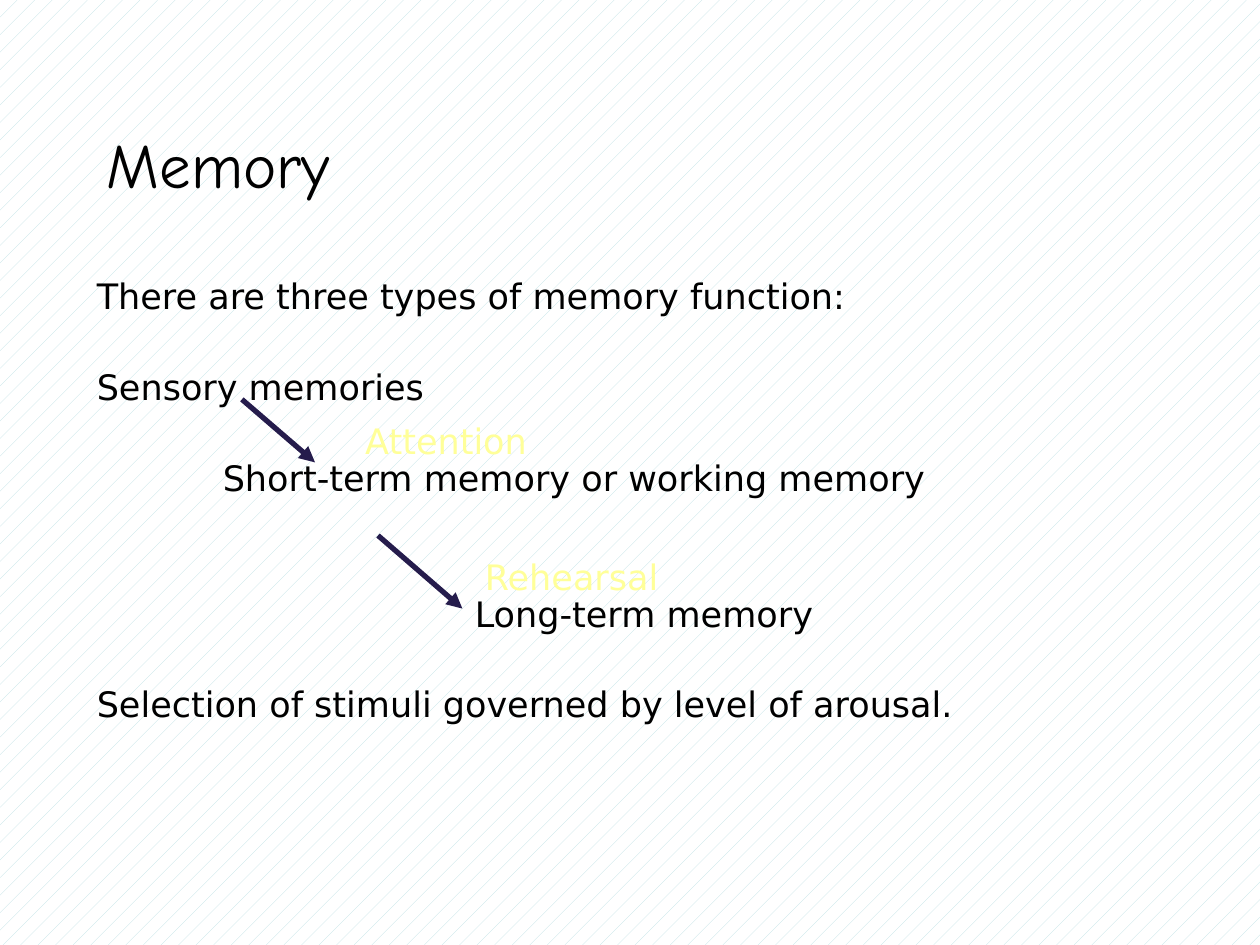
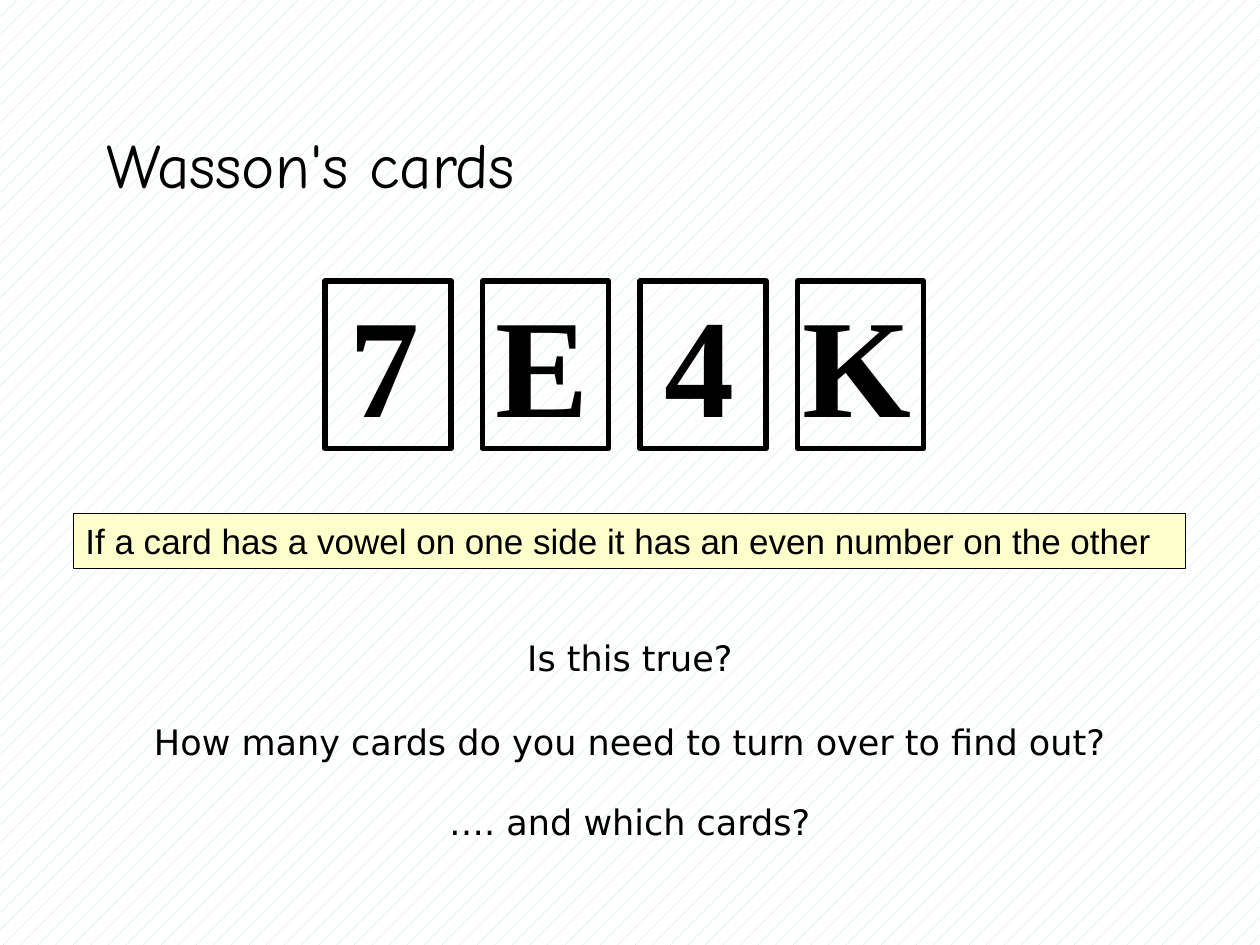
import pptx
import pptx.util
import pptx.dml.color
import pptx.enum.dml
import pptx.enum.shapes
import pptx.enum.text
import pptx.oxml.ns
from lxml import etree

Inches, Pt = pptx.util.Inches, pptx.util.Pt
RGBColor = pptx.dml.color.RGBColor
PP_ALIGN = pptx.enum.text.PP_ALIGN
ANCHOR = pptx.enum.text.MSO_ANCHOR

BLACK = RGBColor(0x00, 0x00, 0x00)
WHITE = RGBColor(0xFF, 0xFF, 0xFF)
PALE_TEAL = RGBColor(0xBB, 0xE0, 0xE3)
NAVY = RGBColor(0x25, 0x1C, 0x4C)
CREAM = RGBColor(0xFF, 0xFF, 0xCC)
YELLOW = RGBColor(0xFF, 0xFF, 0x99)

TITLE_FONT, BODY_FONT = "Comic Neue", "DejaVu Sans"
BANNER_FONT, CARD_FONT = "Arial", "Times New Roman"
TITLE_BOX = (0.75, 0.67, 7.5, 1.25)

# text, indent in inches, space before in points
MEMORY_TITLE = "Memory"
MEMORY_BOX = (0.67, 2.17, 8.5, 4.5)
MEMORY_LINES = [
    ("There are three types of memory function:", 0, 0),
    ("Sensory memories", 0, 30.3),
    ("Short-term memory or working memory", 1, 30.3),
    ("Long-term memory", 3, 55.9),
    ("Selection of stimuli governed by level of arousal.", 0, 30.3),
]
# process, label corner, arrow start, arrow end
MEMORY_STEPS = [
    ("Attention", (2.8, 3.28), (1.92, 3.17), (2.5, 3.67)),
    ("Rehearsal", (3.75, 4.36), (3, 4.25), (3.67, 4.83)),
]
LABEL_SIZE = (2, 0.44)

CARDS_TITLE = "Wasson's cards"
CARDS = ["7", "E", "4", "K"]
CARD_LEFT, CARD_TOP, CARD_WIDTH, CARD_HEIGHT, CARD_GAP = 2.58, 2.23, 1, 1.33, 0.25
RULE = "If a card has a vowel on one side it has an even number on the other"
RULE_BOX = (0.58, 4.07, 8.83, 0.44)
QUESTION_BOX = (0.75, 5, 8.5, 1.92)
QUESTIONS = [
    ("Is this true?", 0, 0),
    ("How many cards do you need to turn over to find out?", 0, 24.2),
    ("…. and which cards?", 0, 21.9),
]


def write(shape, lines, size=20, font=BODY_FONT, color=BLACK, bold=False,
          align=PP_ALIGN.LEFT, anchor=ANCHOR.TOP, spacing=1.0):
    """Fill a shape with a string, or with (text, indent, space before) lines."""
    frame = shape.text_frame
    frame.word_wrap = True
    frame.vertical_anchor = anchor
    if isinstance(lines, str):
        lines = [(lines, 0, 0)]
    for number, (text, indent, before) in enumerate(lines):
        paragraph = frame.add_paragraph() if number else frame.paragraphs[0]
        paragraph.alignment = align
        paragraph.line_spacing = spacing
        paragraph.space_before = Pt(before)
        if indent:
            paragraph._p.get_or_add_pPr().set("marL", str(Inches(indent)))
        run = paragraph.add_run()
        run.text = text
        run.font.size, run.font.name, run.font.bold = Pt(size), font, bold
        run.font.color.rgb = color


def add_text(slide, box, lines, **style):
    write(slide.shapes.add_textbox(*map(Inches, box)), lines, **style)


def add_panel(slide, box, line_width, fill=None):
    panel = slide.shapes.add_shape(
        pptx.enum.shapes.MSO_SHAPE.RECTANGLE, *map(Inches, box))
    panel.shadow.inherit = False
    if fill is None:
        panel.fill.background()
    else:
        panel.fill.solid()
        panel.fill.fore_color.rgb = fill
    panel.line.color.rgb = BLACK
    panel.line.width = Pt(line_width)
    return panel


def add_arrow(slide, start, end):
    arrow = slide.shapes.add_connector(
        pptx.enum.shapes.MSO_CONNECTOR.STRAIGHT, *map(Inches, start + end))
    arrow.line.color.rgb = NAVY
    arrow.line.width = Pt(3)
    qn = pptx.oxml.ns.qn
    etree.SubElement(arrow.line._get_or_add_ln(), qn("a:tailEnd"), type="triangle")
    etree.SubElement(arrow._element.spPr, qn("a:effectLst"))


def add_slide(deck, title):
    slide = deck.slides.add_slide(deck.slide_layouts[6])
    add_text(slide, TITLE_BOX, title, size=36, font=TITLE_FONT, anchor=ANCHOR.MIDDLE)
    return slide


def set_background(deck):
    fill = deck.slide_master.background.fill
    fill.patterned()
    fill.pattern = pptx.enum.dml.MSO_PATTERN.PERCENT_5
    fill.fore_color.rgb = PALE_TEAL
    fill.back_color.rgb = WHITE


def build_memory(deck):
    slide = add_slide(deck, MEMORY_TITLE)
    add_text(slide, MEMORY_BOX, MEMORY_LINES, spacing=0.9)
    for process, corner, start, end in MEMORY_STEPS:
        add_arrow(slide, start, end)
        add_text(slide, corner + LABEL_SIZE, process, color=YELLOW)


def build_cards(deck):
    slide = add_slide(deck, CARDS_TITLE)
    add_text(slide, QUESTION_BOX, QUESTIONS, align=PP_ALIGN.CENTER)
    write(add_panel(slide, RULE_BOX, 0.25, CREAM), RULE,
          font=BANNER_FONT, anchor=ANCHOR.MIDDLE)
    for column, symbol in enumerate(CARDS):
        left = CARD_LEFT + column * (CARD_WIDTH + CARD_GAP)
        card = add_panel(slide, (left, CARD_TOP, CARD_WIDTH, CARD_HEIGHT), 3)
        frame = card.text_frame
        frame.margin_left = frame.margin_top = 0
        frame.margin_right = frame.margin_bottom = Inches(0.05)
        write(card, symbol, size=80, font=CARD_FONT, bold=True,
              align=PP_ALIGN.CENTER, anchor=ANCHOR.MIDDLE)


def main():
    deck = pptx.Presentation()
    deck.slide_width, deck.slide_height = Inches(10), Inches(7.5)
    set_background(deck)
    build_memory(deck)
    build_cards(deck)
    deck.save("out.pptx")


if __name__ == "__main__":
    main()
